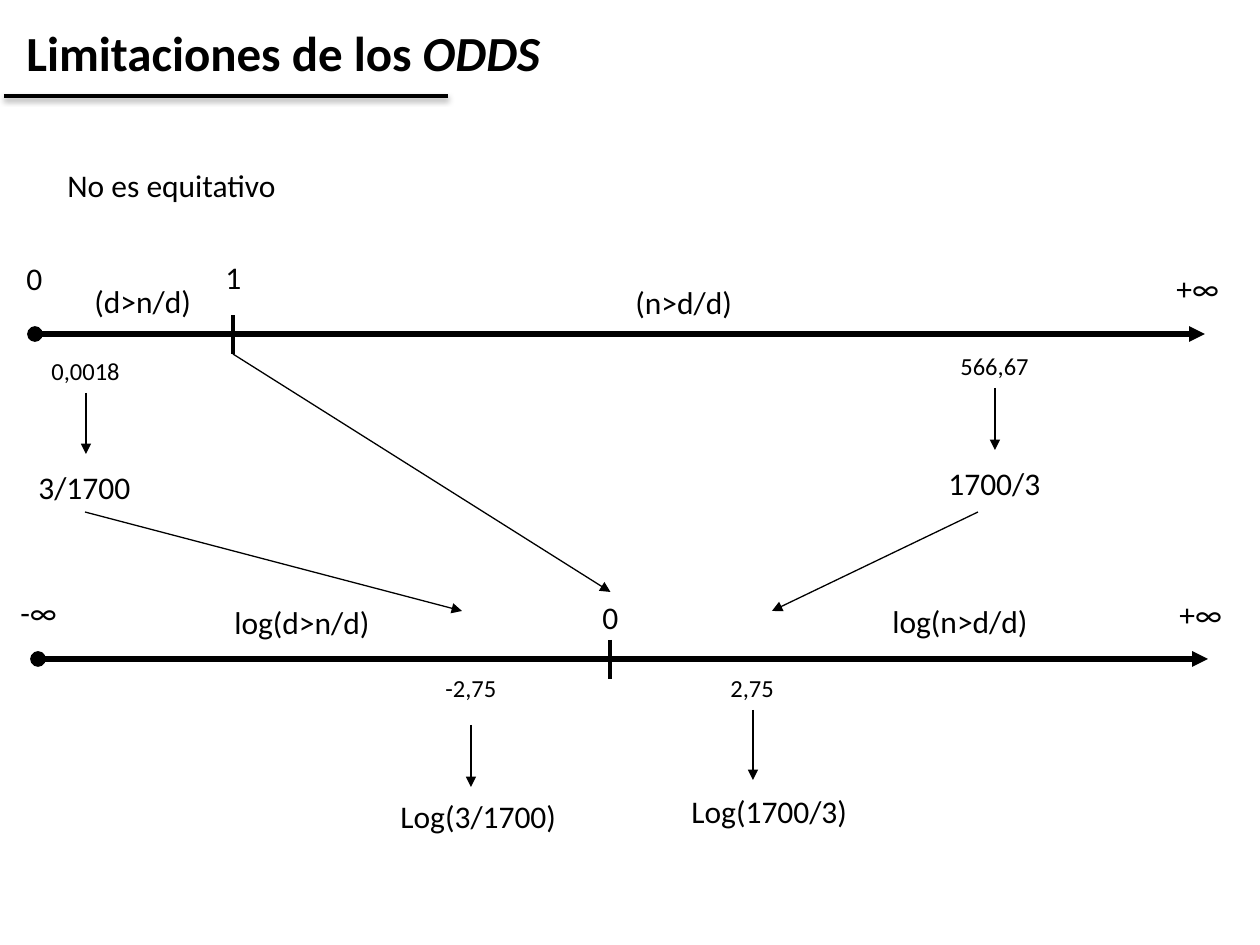
import pptx
import pptx.dml.color
import pptx.enum.shapes
import pptx.enum.text
import pptx.oxml
import pptx.oxml.ns
import pptx.util

EMU_PER_INCH = 914400
PX_PER_INCH = 126
FONT = "Calibri"
BLACK = "000000"
BOTTOM, TOP = 2, 0


def px(length):
    """Turn pixels into EMU."""
    return pptx.util.Emu(round(length * EMU_PER_INCH / PX_PER_INCH))


def color(hex_code):
    """Turn a hex string into a colour."""
    return pptx.dml.color.RGBColor.from_string(hex_code)


def add_child(parent, tag, **attributes):
    """Append a DrawingML element with its attributes."""
    child = pptx.oxml.ns.qn(tag)
    element = parent.makeelement(child, attributes)
    parent.append(element)
    return element


def add_text(slide, text, left, top, width, height=50, size=18, bold=False, italic_end=""):
    """Add a one-line label, with an optional italic ending."""
    label = slide.shapes.add_textbox(px(left), px(top), px(width), px(height))
    frame = label.text_frame
    frame.word_wrap = False
    frame.auto_size = pptx.enum.text.MSO_AUTO_SIZE.SHAPE_TO_FIT_TEXT
    for wording, italic in ((text, False), (italic_end, True)):
        if wording:
            run = frame.paragraphs[0].add_run()
            run.text = wording
            run.font.name = FONT
            run.font.size = pptx.util.Pt(size)
            run.font.bold = bold
            run.font.italic = italic
            run.font.color.rgb = color(BLACK)
    return label


def add_value(slide, text, left, top, width):
    """Add a small value below an axis."""
    return add_text(slide, text, left, top, width, height=43, size=14)


def add_line(slide, start, end, weight, head=None, tail=None, shadow=False):
    """Add a straight line with optional ends and a soft shadow."""
    line = slide.shapes.add_connector(
        pptx.enum.shapes.MSO_CONNECTOR.STRAIGHT, *map(px, start + end))
    line.line.width = pptx.util.Pt(weight)
    line.line.color.rgb = color(BLACK)
    outline = line.line._get_or_add_ln()
    for tag, kind in (("a:headEnd", head), ("a:tailEnd", tail)):
        if kind:
            add_child(outline, tag, type=kind)
    effects = add_child(line._element.spPr, "a:effectLst")
    if shadow:
        outer = add_child(effects, "a:outerShdw", blurRad="40000", dist="23000",
                          dir="5400000", rotWithShape="0")
        shade = add_child(outer, "a:srgbClr", val=BLACK)
        add_child(shade, "a:alpha", val="35000")
    return line


def add_arrow(slide, start, end, source=None, target=None):
    """Add a thin arrow, joined to the labels it starts or ends at."""
    arrow = add_line(slide, start, end, 0.75, tail="triangle")
    if source:
        arrow.begin_connect(source, BOTTOM)
    if target:
        arrow.end_connect(target, TOP)


def add_axis(slide, left, y, tick_x):
    """Add a number line with its dividing tick."""
    add_line(slide, (left, y), (left + 1170, y), 3, head="oval", tail="triangle")
    add_line(slide, (tick_x, y - 19), (tick_x, y + 20), 2.25)


def add_odds_scale(slide):
    """Add the odds axis and return the label of its left ratio."""
    add_axis(slide, 35, 334, 233)
    add_text(slide, "0", 14, 253, 41)
    add_text(slide, "1", 213, 252, 41)
    add_text(slide, "+∞", 1164, 263, 68)
    add_text(slide, "(d>n/d)", 82, 276, 123)
    add_text(slide, "(n>d/d)", 623, 277, 123)
    low_odds = add_value(slide, "0,0018", 39, 350, 94)
    high_odds = add_value(slide, "566,67", 948, 345, 94)
    low_ratio = add_text(slide, "3/1700", 26, 462, 118)
    add_text(slide, "1700/3", 936, 458, 118)
    add_arrow(slide, (86, 393), (86, 454), source=low_odds)
    add_arrow(slide, (995, 388), (995, 450), source=high_odds)
    return low_ratio


def add_log_scale(slide):
    """Add the log-odds axis and return the label of its zero."""
    add_axis(slide, 38, 659, 610)
    add_text(slide, "-∞", 8, 587, 62)
    zero = add_text(slide, "0", 590, 592, 41)
    add_text(slide, "+∞", 1167, 589, 68)
    add_text(slide, "log(d>n/d)", 222, 597, 163)
    add_text(slide, "log(n>d/d)", 880, 596, 163)
    add_value(slide, "-2,75", 433, 667, 77)
    high_log = add_value(slide, "2,75", 718, 667, 70)
    add_text(slide, "Log(3/1700)", 388, 791, 183)
    add_text(slide, "Log(1700/3)", 679, 786, 183)
    add_arrow(slide, (471, 725), (471, 787))
    add_arrow(slide, (753, 710), (753, 780), source=high_log)
    return zero


def main():
    """Build the slide and save it."""
    deck = pptx.Presentation()
    deck.slide_width, deck.slide_height = px(1260), px(945)
    slide = deck.slides.add_slide(deck.slide_layouts[6])
    add_line(slide, (4, 96), (448, 96), 2.25, shadow=True)
    add_text(slide, "Limitaciones de los ", 14, 16, 546, height=72, size=28,
             bold=True, italic_end="ODDS")
    add_text(slide, "No es equitativo", 55, 160, 243)
    low_ratio = add_odds_scale(slide)
    log_zero = add_log_scale(slide)
    add_arrow(slide, (233, 354), (610, 592), target=log_zero)
    add_arrow(slide, (978, 512), (772, 611))
    add_arrow(slide, (86, 512), (462, 611), source=low_ratio)
    deck.save("out.pptx")


if __name__ == "__main__":
    main()
